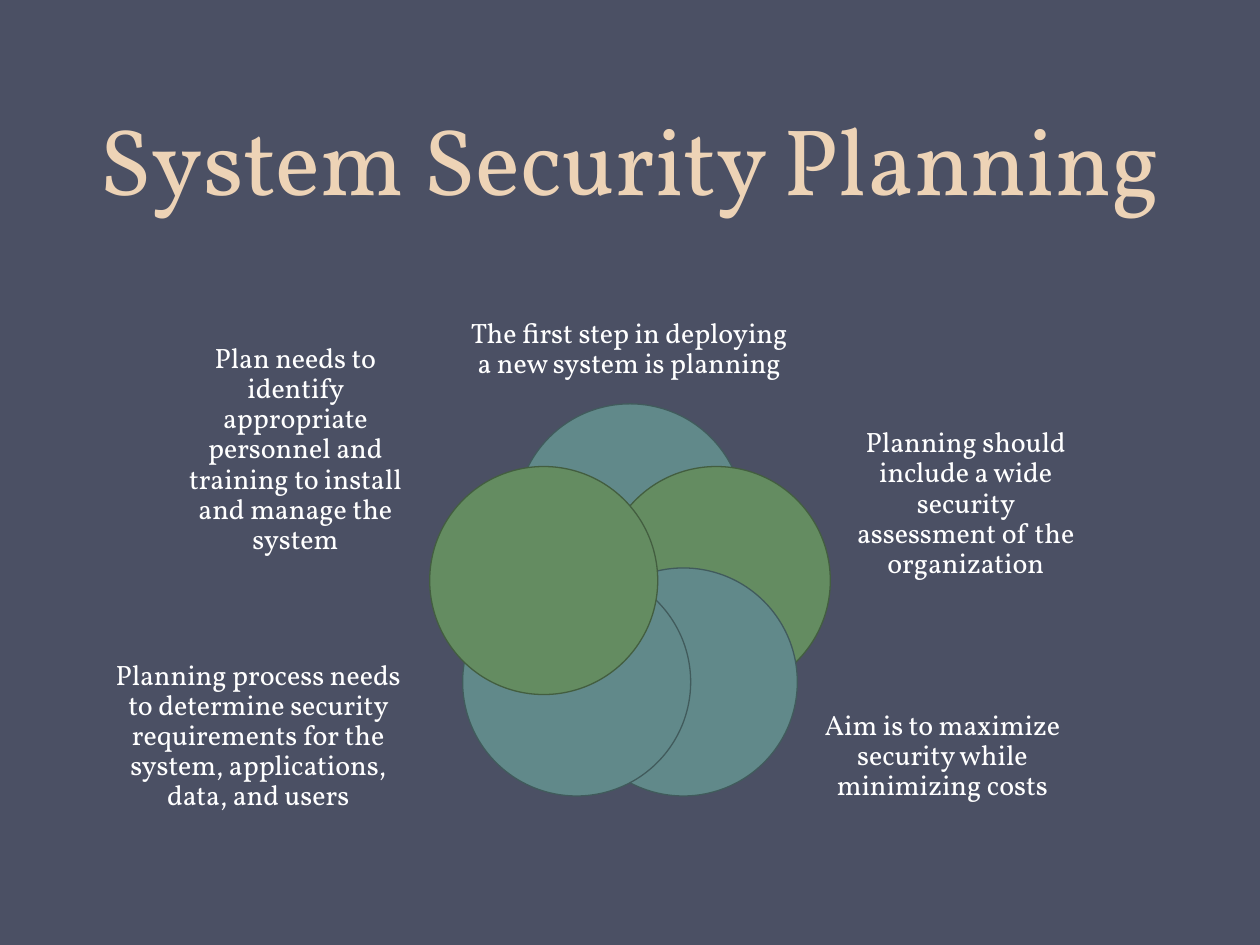
from math import cos, radians, sin

from pptx import Presentation
from pptx import util as u
from pptx.dml.color import RGBColor
from pptx.enum import shapes, text

NAVY = RGBColor(0x4B, 0x50, 0x64)
SAND = RGBColor(0xED, 0xD3, 0xB6)
WHITE = RGBColor(0xFF, 0xFF, 0xFF)
TEAL = RGBColor(0x61, 0x89, 0x8A), RGBColor(0x41, 0x5B, 0x5C)
GREEN = RGBColor(0x64, 0x8C, 0x61), RGBColor(0x43, 0x5E, 0x40)

FONT = "Vollkorn"
MID_X, MID_Y = 5, 4.83
ORBIT, SIZE = 0.72, 1.81

STEPS = [
    ("The first step in deploying a new system is planning",
     (3.71, 2.17, 2.57, 1.21), TEAL),
    ("Planning should include a wide security assessment of the organization",
     (6.71, 3, 1.91, 2), GREEN),
    ("Aim is to maximize security while minimizing costs",
     (6.54, 5.17, 1.88, 1.67), TEAL),
    ("Planning process needs to determine security requirements for the "
     "system, applications, data, and users",
     (0.83, 4.67, 2.44, 2.35), TEAL),
    ("Plan needs to identify appropriate personnel and training to install "
     "and manage the system",
     (1.41, 2.72, 1.87, 1.7), GREEN),
]


def add_text(slide, words, area, size, color, anchor, gap, inset=0):
    """Add a centred, wrapped text box."""
    box = slide.shapes.add_textbox(*map(u.Inches, area))
    frame = box.text_frame
    frame.word_wrap = True
    frame.vertical_anchor = anchor
    frame.margin_left = frame.margin_right = u.Inches(inset)
    frame.margin_top = frame.margin_bottom = u.Inches(inset / 2)
    frame.text = words
    para = frame.paragraphs[0]
    para.alignment = text.PP_ALIGN.CENTER
    para.line_spacing = gap
    font = para.runs[0].font
    font.name, font.size = FONT, u.Pt(size)
    font.color.rgb = color


def add_disc(slide, angle, colors):
    """Add a circle on the ring, at an angle clockwise from the top."""
    left = MID_X + ORBIT * sin(angle) - SIZE / 2
    top = MID_Y - ORBIT * cos(angle) - SIZE / 2
    disc = slide.shapes.add_shape(
        shapes.MSO_SHAPE.OVAL, *map(u.Inches, (left, top, SIZE, SIZE)))
    disc.shadow.inherit = False
    fill, edge = colors
    disc.fill.solid()
    disc.fill.fore_color.rgb = fill
    disc.line.color.rgb = edge
    disc.line.width = u.Pt(0.75)


def main():
    """Build the slide and save it."""
    deck = Presentation()
    deck.slide_width, deck.slide_height = u.Inches(10), u.Inches(7.5)
    slide = deck.slides.add_slide(deck.slide_layouts[6])
    slide.background.fill.solid()
    slide.background.fill.fore_color.rgb = NAVY
    add_text(slide, "System Security Planning", (0.5, 0, 9, 1.75), 54, SAND,
             text.MSO_ANCHOR.BOTTOM, u.Pt(58), 0.1)
    for i, (words, area, colors) in enumerate(STEPS):
        add_disc(slide, radians(i * 360 / len(STEPS)), colors)
        add_text(slide, words, area, 16, WHITE, text.MSO_ANCHOR.MIDDLE, 0.9)
    deck.save("out.pptx")


if __name__ == "__main__":
    main()
